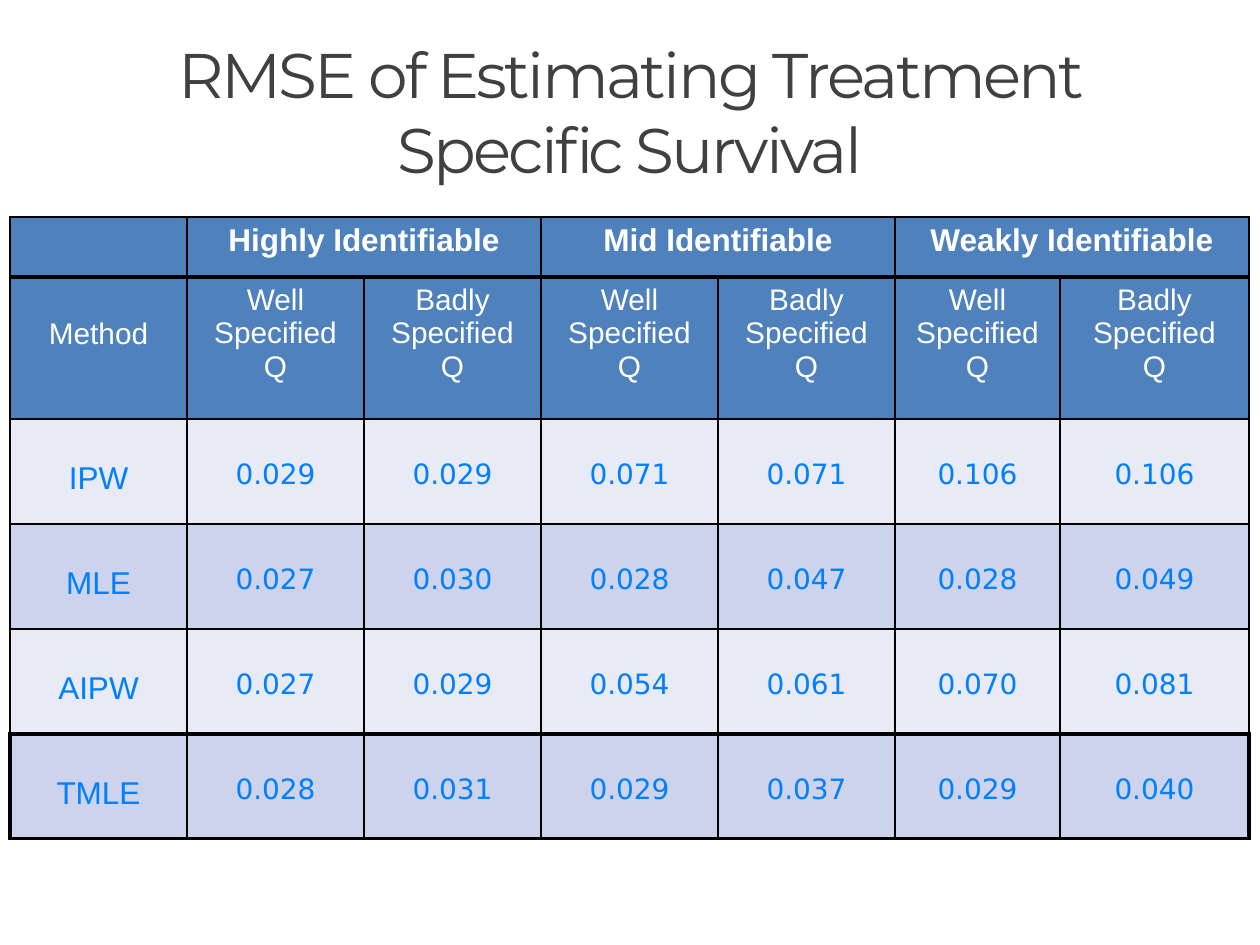
import pptx
import pptx.dml.color
import pptx.enum.text
import pptx.oxml
import pptx.oxml.ns
import pptx.util

PX = 914400 // 126
COLORS = {
    "title": "404040",
    "header": "4F81BD",
    "header_text": "FFFFFF",
    "value": "007FFF",
    "light": "E8EAF6",
    "dark": "CDD3EC",
    "line": "000000",
}
COLUMN_WIDTHS = [177, 177, 177, 177, 177, 165, 189]
ROW_HEIGHTS = [60, 142, 105, 105, 105, 105]
HORIZONTAL_LINES = [1, 3, 1, 1, 1, 2.25, 2.25]
GROUPS = ["Highly Identifiable", "Mid Identifiable", "Weakly Identifiable"]
SUBHEADERS = ["Method"] + ["Well Specified Q", "Badly Specified Q"] * 2 + [
    "Well Specified Q", "Badly Specified\nQ"]
RESULTS = [
    ("IPW", "0.029", "0.029", "0.071", "0.071", "0.106", "0.106"),
    ("MLE", "0.027", "0.030", "0.028", "0.047", "0.028", "0.049"),
    ("AIPW", "0.027", "0.029", "0.054", "0.061", "0.070", "0.081"),
    ("TMLE", "0.028", "0.031", "0.029", "0.037", "0.029", "0.040"),
]


def px(length):
    return pptx.util.Emu(length * PX)


def rgb(name):
    return pptx.dml.color.RGBColor.from_string(COLORS[name])


def write_text(text_frame, text, *, size, color, font="Arial", bold=False, spacing=None):
    """Write centred text; each line of it becomes a paragraph."""
    text_frame.text = text
    for paragraph in text_frame.paragraphs:
        paragraph.alignment = pptx.enum.text.PP_ALIGN.CENTER
        for run in paragraph.runs:
            run.font.name = font
            run.font.size = pptx.util.Pt(size)
            run.font.bold = bold
            run.font.color.rgb = rgb(color)
            if spacing is not None:
                run.font._element.set("spc", str(round(spacing * 100)))


def set_borders(cell, left, right, top, bottom):
    """Draw the four cell borders, with widths in points."""
    properties = cell._tc.get_or_add_tcPr()
    widths = {"lnL": left, "lnR": right, "lnT": top, "lnB": bottom}
    for index, (tag, width) in enumerate(widths.items()):
        properties.insert(index, pptx.oxml.parse_xml(
            f'<a:{tag} {pptx.oxml.ns.nsdecls("a")} w="{pptx.util.Pt(width)}">'
            f'<a:solidFill><a:srgbClr val="{COLORS["line"]}"/></a:solidFill></a:{tag}>'))


def add_title(slide, text):
    title = slide.shapes.title
    title.left, title.top, title.width, title.height = map(px, (63, 32, 1134, 158))
    title.text_frame.vertical_anchor = pptx.enum.text.MSO_ANCHOR.MIDDLE
    write_text(title.text_frame, text, size=36, color="title",
               font="Montserrat", spacing=-1.5)


def add_results_table(slide):
    table = slide.shapes.add_table(
        len(ROW_HEIGHTS), len(COLUMN_WIDTHS), px(10), px(217),
        px(sum(COLUMN_WIDTHS)), px(sum(ROW_HEIGHTS))).table
    for column, width in zip(table.columns, COLUMN_WIDTHS):
        column.width = px(width)
    for row, height in zip(table.rows, ROW_HEIGHTS):
        row.height = px(height)
    return table


def style_cells(table):
    last_row, last_column = len(ROW_HEIGHTS) - 1, len(COLUMN_WIDTHS) - 1
    for row_index, row in enumerate(table.rows):
        fill = "header" if row_index < 2 else ("light", "dark")[row_index % 2]
        for column_index, cell in enumerate(row.cells):
            cell.fill.solid()
            cell.fill.fore_color.rgb = rgb(fill)
            outer = 2.25 if row_index == last_row else 1
            set_borders(cell,
                        outer if column_index == 0 else 1,
                        outer if column_index == last_column else 1,
                        HORIZONTAL_LINES[row_index], HORIZONTAL_LINES[row_index + 1])


def fill_headers(table):
    for index, group in enumerate(GROUPS):
        cell = table.cell(0, 1 + 2 * index)
        cell.merge(table.cell(0, 2 + 2 * index))
        write_text(cell.text_frame, group, size=18, color="header_text", bold=True)
    for column_index, text in enumerate(SUBHEADERS):
        write_text(table.cell(1, column_index).text_frame, text,
                   size=17, color="header_text")
    table.cell(1, 0).margin_top = px(40)


def fill_results(table):
    for row_index, (method, *values) in enumerate(RESULTS, start=2):
        label = table.cell(row_index, 0)
        label.margin_top = px(42)
        write_text(label.text_frame, method, size=18, color="value")
        for column_index, value in enumerate(values, start=1):
            cell = table.cell(row_index, column_index)
            cell.vertical_anchor = pptx.enum.text.MSO_ANCHOR.BOTTOM
            cell.margin_left = cell.margin_right = cell.margin_top = px(1)
            cell.margin_bottom = px(33)
            write_text(cell.text_frame, value, size=16, color="value", font="DejaVu Sans")


def main():
    presentation = pptx.Presentation()
    presentation.slide_width, presentation.slide_height = px(1260), px(945)
    slide = presentation.slides.add_slide(presentation.slide_layouts[5])
    add_title(slide, "RMSE of Estimating Treatment Specific Survival")
    table = add_results_table(slide)
    style_cells(table)
    fill_headers(table)
    fill_results(table)
    presentation.save("out.pptx")


if __name__ == "__main__":
    main()
